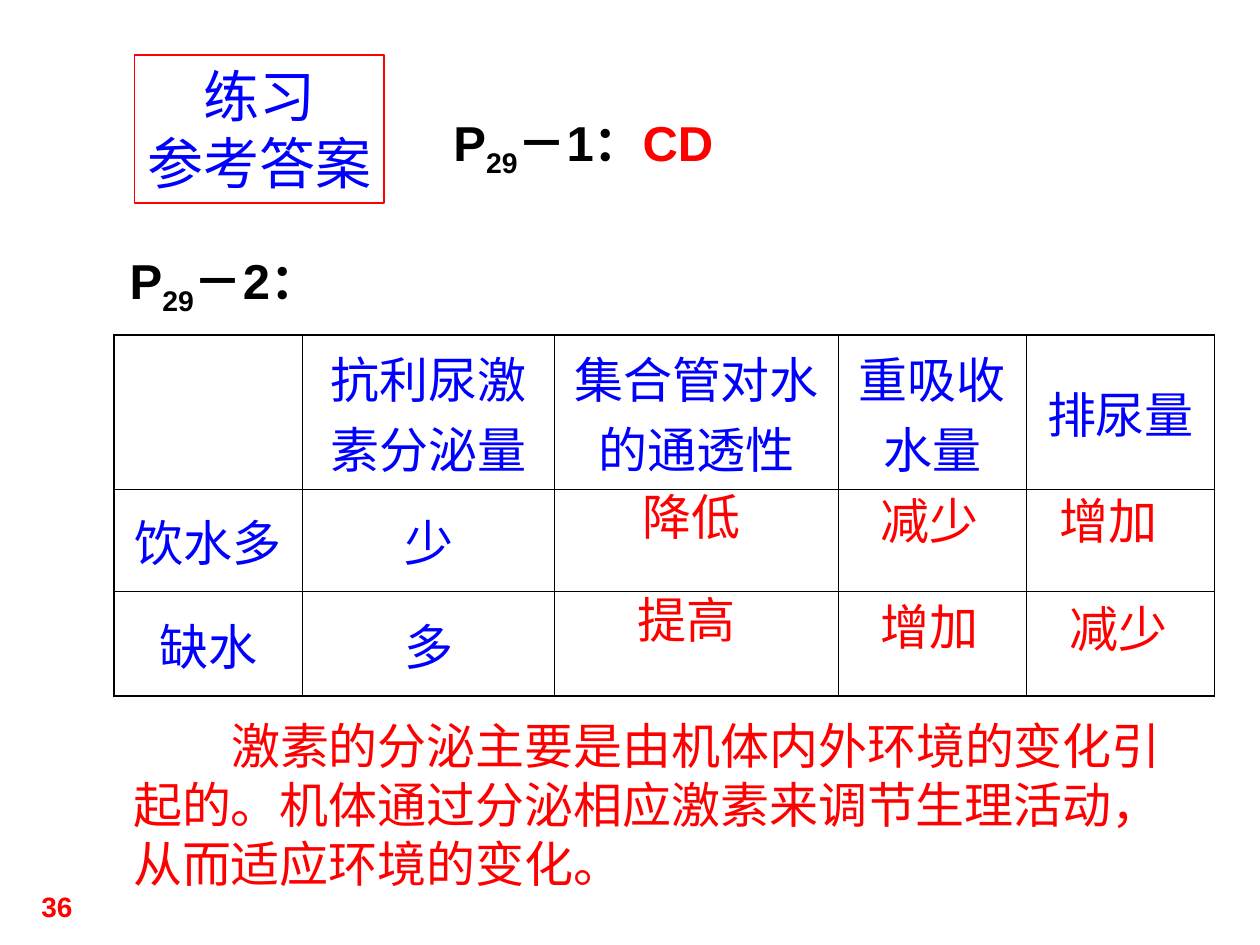
from pptx import Presentation
from pptx.dml.color import RGBColor
from pptx.enum import shapes, text
from pptx.oxml import parse_xml
from pptx.oxml.ns import nsdecls
from pptx.util import Pt

BLACK = RGBColor(0, 0, 0)
BLUE = RGBColor(0, 0, 255)
RED = RGBColor(255, 0, 0)

LEFT, CENTER, RIGHT = text.PP_ALIGN.LEFT, text.PP_ALIGN.CENTER, text.PP_ALIGN.RIGHT
GROW = text.MSO_AUTO_SIZE.SHAPE_TO_FIT_TEXT
OUTER, INNER = Pt(1.08), Pt(0.45)

COL_WIDTHS = [108, 144, 162, 107.5, 107.5]
ROW_HEIGHTS = [88, 58.5, 59.5]
ROWS = [
    ["", "抗利尿激素分泌量", "集合管对水的通透性", "重吸收水量", "排尿量"],
    ["饮水多", "少", "", "", ""],
    ["缺水", "多", "", "", ""],
]
# Answers laid over the empty cells: text, left, top
ANSWERS = [
    ("降低", 360, 274.5), ("减少", 496, 276.5), ("增加", 598.5, 276.5),
    ("提高", 357, 333.5), ("增加", 496, 337.5), ("减少", 604, 338.5),
]


def add_run(p, content, color, size=28, bold=False, baseline=0):
    r = p.add_run()
    r.text = content
    formats = {"name": "Arial", "size": Pt(size), "bold": bold}
    for name, value in formats.items():
        setattr(r.font, name, value)
    r.font.color.rgb = color
    if baseline:
        r.font._element.set("baseline", str(baseline))


def add_text(s, box, runs, wrap=False, align=LEFT):
    sp = s.shapes.add_textbox(*map(Pt, box))
    tf = sp.text_frame
    tf.word_wrap = wrap
    tf.auto_size = GROW
    p = tf.paragraphs[0]
    p.alignment = align
    for content, formats in runs:
        add_run(p, content, **formats)
    return p


def add_question(s, box, number, answer=""):
    runs = [
        ("P", {"color": BLACK, "bold": True}),
        ("29", {"color": BLACK, "bold": True, "baseline": -25000}),
        (f"－{number}：", {"color": BLACK, "bold": True}),
    ]
    if answer:
        runs.append((answer, {"color": RED, "bold": True}))
    add_text(s, box, runs)


def add_title(s, box, lines):
    sp = s.shapes.add_shape(shapes.MSO_SHAPE.RECTANGLE, *map(Pt, box))
    sp.shadow.inherit = False
    sp.fill.background()
    sp.line.color.rgb = RED
    sp.line.width = Pt(0.75)
    tf = sp.text_frame
    tf.word_wrap = False
    tf.auto_size = GROW
    tf.vertical_anchor = text.MSO_ANCHOR.TOP
    for i, line in enumerate(lines):
        p = tf.add_paragraph() if i else tf.paragraphs[0]
        p.alignment = CENTER
        add_run(p, line, BLUE, size=32)


def set_borders(cell, widths):
    tc_pr = cell._tc.get_or_add_tcPr()
    for side, width in widths.items():
        tc_pr.append(parse_xml(
            f'<a:ln{side} {nsdecls("a")} w="{int(width)}"><a:solidFill>'
            f'<a:srgbClr val="{BLACK}"/></a:solidFill></a:ln{side}>'))


def add_table(s, left, top):
    last_row, last_col = len(ROWS) - 1, len(COL_WIDTHS) - 1
    frame = s.shapes.add_table(
        len(ROWS), len(COL_WIDTHS), Pt(left), Pt(top),
        Pt(sum(COL_WIDTHS)), Pt(sum(ROW_HEIGHTS)))
    table = frame.table
    table.first_row = table.horz_banding = False
    for col, width in zip(table.columns, COL_WIDTHS):
        col.width = Pt(width)
    for i, (row, height) in enumerate(zip(table.rows, ROW_HEIGHTS)):
        row.height = Pt(height)
        for j, content in enumerate(ROWS[i]):
            cell = table.cell(i, j)
            set_borders(cell, {
                "L": INNER if j else OUTER,
                "R": OUTER if j == last_col else INNER,
                "T": INNER if i else OUTER,
                "B": OUTER if i == last_row else INNER,
            })
            cell.fill.background()
            cell.vertical_anchor = text.MSO_ANCHOR.MIDDLE
            p = cell.text_frame.paragraphs[0]
            p.alignment = CENTER
            if content:
                add_run(p, content, BLUE)


def main():
    prs = Presentation()
    prs.slide_width, prs.slide_height = Pt(720), Pt(540)
    s = prs.slides.add_slide(prs.slide_layouts[6])

    # Comparison table and its answers
    add_table(s, 65, 191.5)
    add_question(s, (67, 139.5, 142.5, 45.5), 2)
    for content, left, top in ANSWERS:
        add_text(s, (left, top, 71, 41), [(content, {"color": RED})])

    # Title box and first answer
    add_title(s, (77, 31.5, 142.5, 84.5), ["练习", "参考答案"])
    add_question(s, (252, 60.5, 189.5, 45.5), 1, "CD")

    # Conclusion, first line indented by two characters
    conclusion = ("激素的分泌主要是由机体内外环境的变化引起的。"
                  "机体通过分泌相应激素来调节生理活动，从而适应环境的变化。")
    p = add_text(s, (69, 405.5, 620, 108), [(conclusion, {"color": RED})], wrap=True)
    p._p.get_or_add_pPr().set("indent", str(Pt(56)))

    # Page number
    add_text(s, (11, 504.5, 37.5, 35.5),
             [("36", {"color": RED, "size": 16, "bold": True})], wrap=True, align=RIGHT)

    prs.save("out.pptx")


if __name__ == "__main__":
    main()
